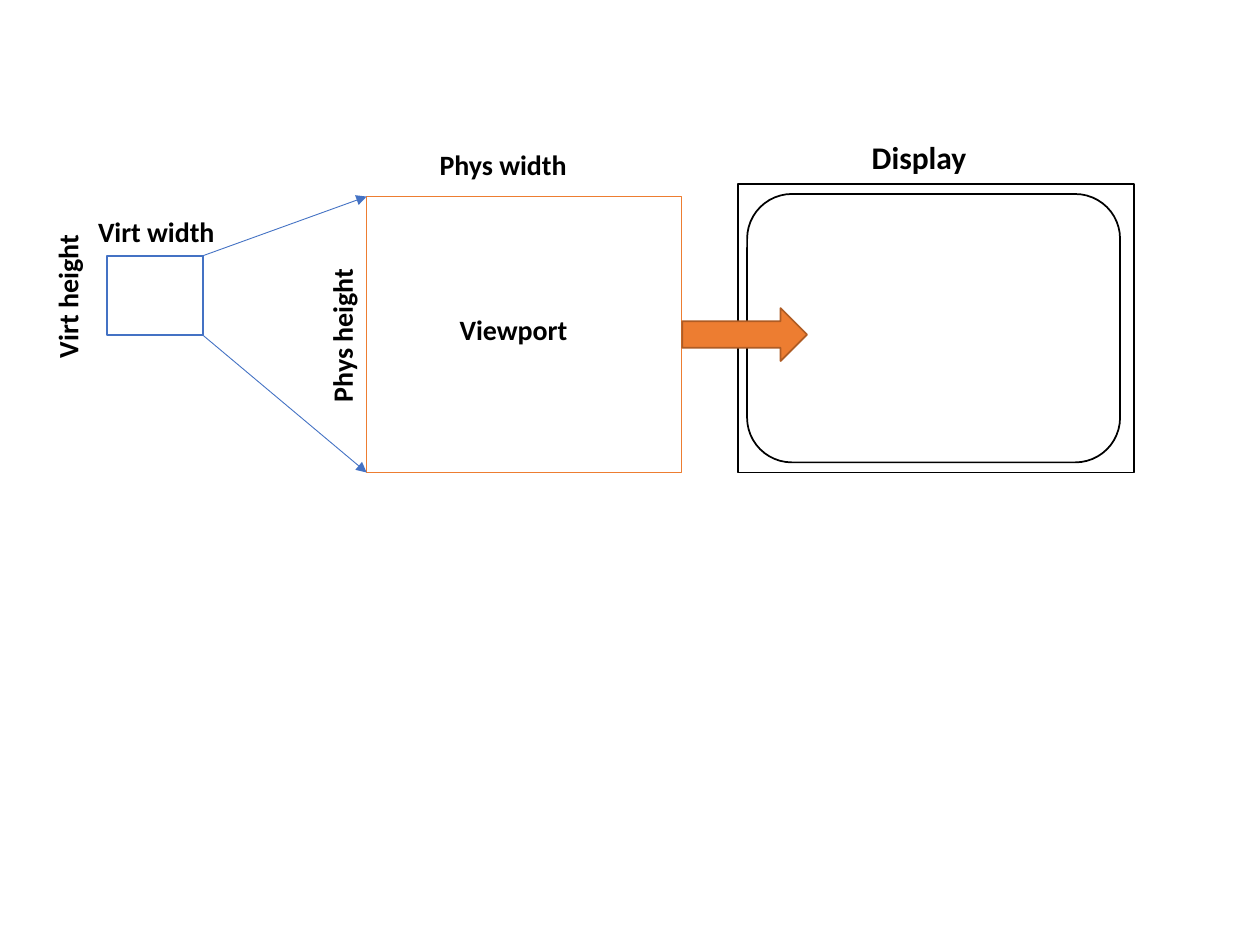
import pptx
import pptx.util
import pptx.dml.color
import pptx.enum.shapes
import pptx.enum.text
import pptx.oxml.ns
import lxml.etree

Inches, Pt = pptx.util.Inches, pptx.util.Pt
RGBColor = pptx.dml.color.RGBColor
KIND = pptx.enum.shapes.MSO_SHAPE
LINE = pptx.enum.shapes.MSO_CONNECTOR
FIT = pptx.enum.text.MSO_AUTO_SIZE

BLACK = RGBColor(0x00, 0x00, 0x00)
WHITE = RGBColor(0xFF, 0xFF, 0xFF)
BLUE = RGBColor(0x44, 0x72, 0xC4)
ORANGE = RGBColor(0xED, 0x7D, 0x31)
RUST = RGBColor(0xAF, 0x5C, 0x24)

# Boxes are left, top, width, height in inches
VIEW = (2.91, 1.56, 2.5, 2.19)
VIRT = (0.85, 2.03, 0.76, 0.63)
SCREEN = (5.86, 1.46, 3.14, 2.29)
GLASS = (5.93, 1.54, 2.96, 2.13)
ARROW = (5.7, 2.16, 0.42, 0.99)

# Text, box, size, rotation, wrap
LABELS = [
    ("Phys width", (3.39, 1.12, 1.22, 0.37), 16, 0, False),
    ("Phys height", (2.08, 2.47, 1.27, 0.37), 16, 270, False),
    ("Viewport", (3.55, 2.43, 1.07, 0.37), 16, 0, False),
    ("Virt height", (-0.06, 2.16, 1.19, 0.37), 16, 270, False),
    ("Virt width", (0.68, 1.65, 1.14, 0.37), 16, 0, False),
    ("Display", (6.82, 1.05, 2.18, 0.4), 18, 0, True),
]


def draw(shapes, kind, box, edge, fill=None, turn=0):
    shape = shapes.add_shape(kind, *map(Inches, box))
    shape.shadow.inherit = False
    shape.rotation = turn
    if fill is None:
        shape.fill.background()
    else:
        shape.fill.solid()
        shape.fill.fore_color.rgb = fill
    shape.line.color.rgb = edge
    shape.line.width = Pt(1)
    return shape


def label(shapes, text, box, size, turn, wrap):
    area = shapes.add_textbox(*map(Inches, box))
    area.rotation = turn
    frame = area.text_frame
    frame.word_wrap = wrap
    frame.auto_size = FIT.SHAPE_TO_FIT_TEXT
    run = frame.paragraphs[0].add_run()
    run.text = text
    font = run.font
    font.name, font.size, font.bold = "Calibri", Pt(size), True
    font.color.rgb = BLACK


def ray(shapes, start, end):
    """Draw a thin line with an arrowhead at its end."""
    line = shapes.add_connector(LINE.STRAIGHT, *map(Inches, start + end))
    line.line.color.rgb = BLUE
    line.line.width = Pt(0.5)
    qn = pptx.oxml.ns.qn
    props = line._element.spPr
    lxml.etree.SubElement(props.find(qn("a:ln")), qn("a:tailEnd"), type="triangle")
    lxml.etree.SubElement(props, qn("a:effectLst"))


def main():
    deck = pptx.Presentation()
    deck.slide_width, deck.slide_height = Inches(10), Inches(7.5)
    shapes = deck.slides.add_slide(deck.slide_layouts[6]).shapes

    draw(shapes, KIND.RECTANGLE, VIEW, ORANGE)
    draw(shapes, KIND.RECTANGLE, VIRT, BLUE, WHITE)

    # Right corners of the small box project to the left corners of the viewport
    right = VIRT[0] + VIRT[2]
    for part in (0, 1):
        ray(shapes, (right, VIRT[1] + part * VIRT[3]),
            (VIEW[0], VIEW[1] + part * VIEW[3]))

    group = shapes.add_group_shape().shapes
    draw(group, KIND.RECTANGLE, SCREEN, BLACK)
    draw(group, KIND.ROUNDED_RECTANGLE, GLASS, BLACK)

    for item in LABELS:
        label(shapes, *item)
    draw(shapes, KIND.DOWN_ARROW, ARROW, RUST, ORANGE, 270)

    deck.save("out.pptx")


if __name__ == "__main__":
    main()
